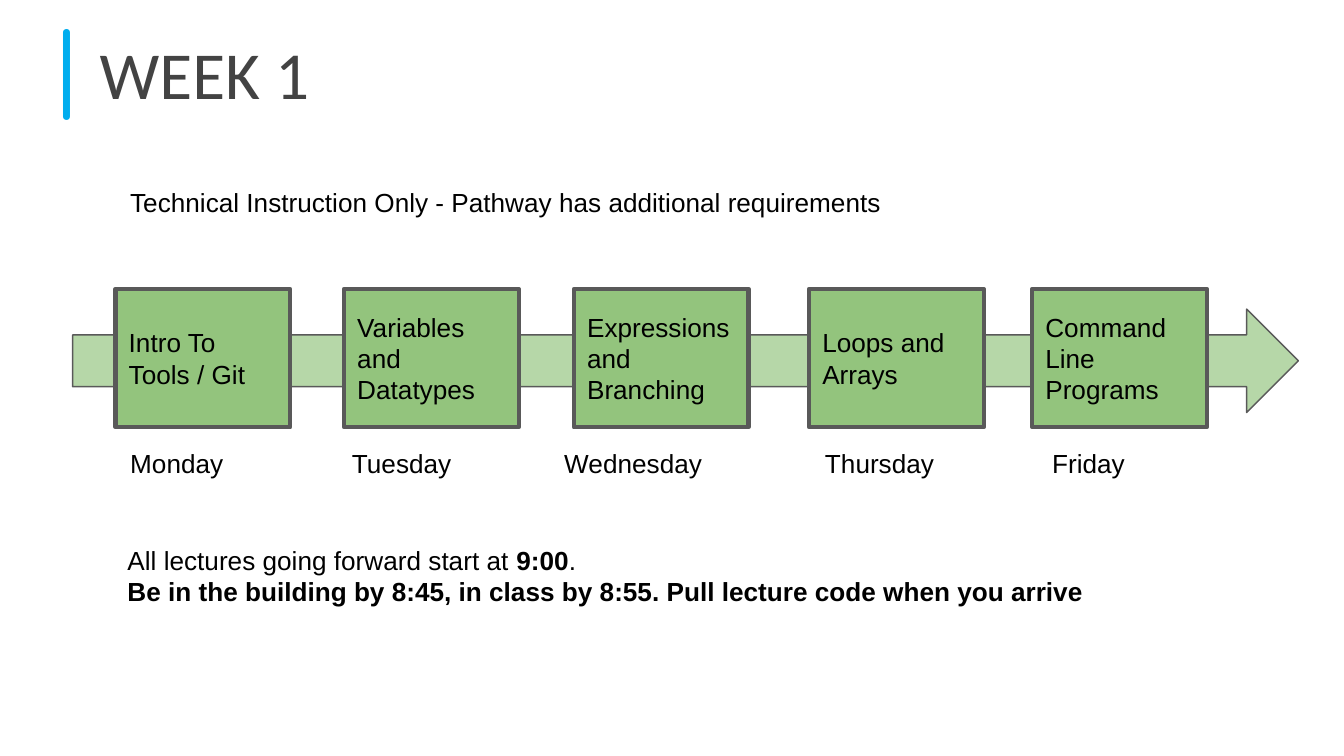
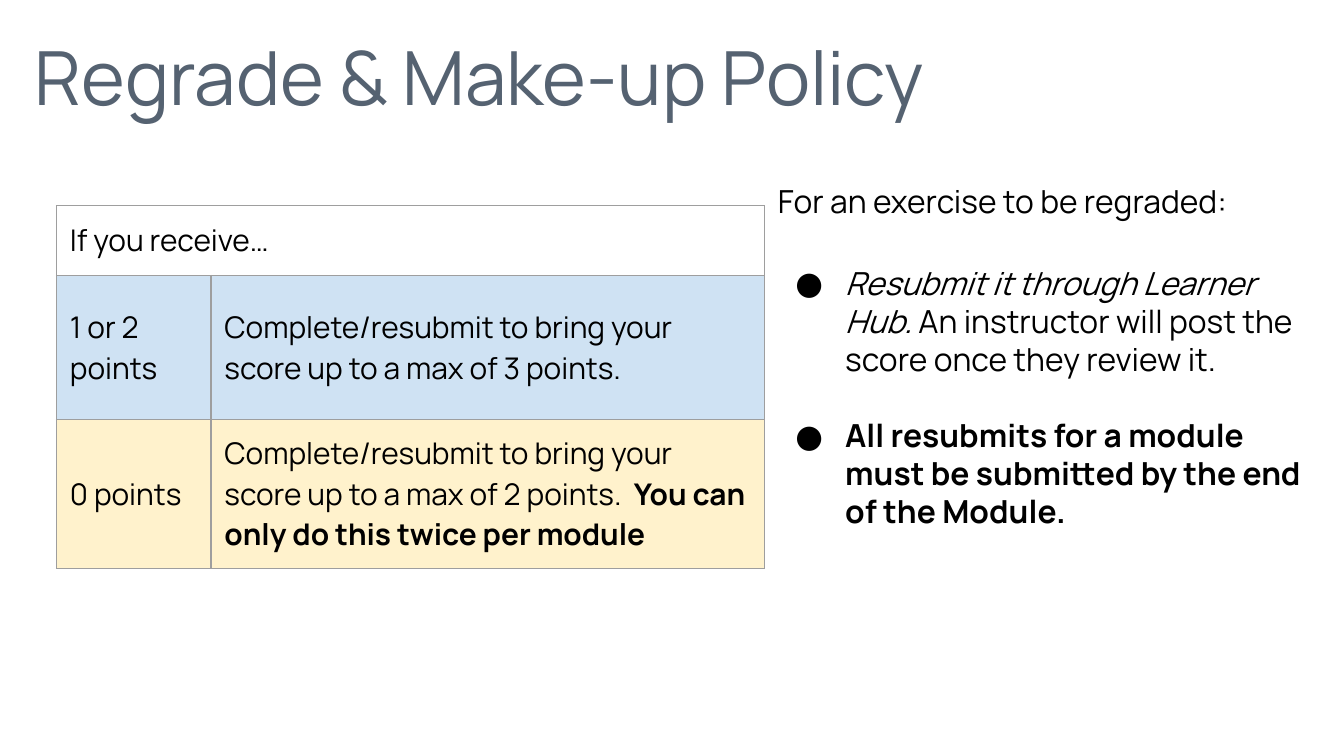
"""Build the week plan and the regrade policy slides."""
from pptx import Presentation
from pptx.dml.color import RGBColor
from pptx.enum.shapes import MSO_SHAPE
from pptx.enum.text import MSO_ANCHOR, PP_ALIGN
from pptx.oxml import parse_xml
from pptx.oxml.ns import nsdecls
from pptx.util import Inches, Pt

BLACK = RGBColor(0x00, 0x00, 0x00)
CYAN = RGBColor(0x00, 0xAD, 0xEE)
DARK = RGBColor(0x43, 0x43, 0x43)
SLATE = RGBColor(0x55, 0x62, 0x71)
EDGE = RGBColor(0x59, 0x59, 0x59)
GRID = RGBColor(0x9E, 0x9E, 0x9E)
GREEN = RGBColor(0x93, 0xC4, 0x7D)
PALE = RGBColor(0xB6, 0xD7, 0xA8)
BLUE = RGBColor(0xCF, 0xE2, 0xF3)
CREAM = RGBColor(0xFF, 0xF2, 0xCC)


def write(frame, lines, font="Arial", size=14, color=BLACK, bullet=False):
    """Fill a frame with lines, each a list of (text, style) runs."""
    frame.word_wrap = True
    for i, runs in enumerate(lines):
        para = frame.add_paragraph() if i else frame.paragraphs[0]
        para.alignment = PP_ALIGN.LEFT
        if bullet and i:
            props = para._p.get_or_add_pPr()
            props.set("marL", str(Inches(0.5)))
            props.set("indent", str(Inches(-0.37)))
            for mark in (f'buClr {nsdecls("a")}><a:srgbClr val="{BLACK}"/></a:buClr',
                         f'buFont {nsdecls("a")} typeface="{font}"/',
                         f'buChar {nsdecls("a")} char="●"/'):
                props.append(parse_xml(f"<a:{mark}>"))
        para.font.name, para.font.size = font, Pt(size)
        para.font.color.rgb = color
        for text, style in runs:
            if text == "\n":
                para.add_line_break()
                continue
            run = para.add_run()
            run.text = text
            if style:
                setattr(run.font, style, True)


def label(slide, spot, lines, font="Arial", size=14, color=BLACK, bullet=False):
    """Add a text box and return its frame."""
    frame = slide.shapes.add_textbox(*map(Inches, spot)).text_frame
    frame.margin_top = frame.margin_bottom = Inches(0.1)
    write(frame, lines, font, size, color, bullet)
    return frame


deck = Presentation()
deck.slide_width = Inches(10)
deck.slide_height = deck.slide_width * 9 // 16
blank = deck.slide_layouts[6]

week = deck.slides.add_slide(blank)
title = label(week, (0.27, 0.07, 9.39, 0.81), [[("|", None), (" WEEK 1", None)]])
title.vertical_anchor = MSO_ANCHOR.MIDDLE
looks = [("Comfortaa", 48, CYAN), ("Calibri", 36, DARK)]
for run, (name, size, color) in zip(title.paragraphs[0].runs, looks):
    run.font.name, run.font.size = name, Pt(size)
    run.font.color.rgb = color

label(week, (0.87, 1.29, 6.63, 0.44),
      [[("Technical Instruction Only - Pathway has additional requirements", None)]])

arrow = week.shapes.add_shape(
    MSO_SHAPE.RIGHT_ARROW, Inches(0.54), Inches(2.3), Inches(9.12), Inches(0.77))
arrow.shadow.inherit = False
arrow.fill.solid()
arrow.fill.fore_color.rgb = PALE
arrow.line.color.rgb, arrow.line.width = EDGE, Pt(0.75)

days = [
    (0.86, "Intro To Tools / Git", 0.87, 0.95, "Monday"),
    (2.56, "Variables and Datatypes", 2.52, 1.34, "Tuesday"),
    (4.27, "Expressions and Branching", 4.1, 1.34, "Wednesday"),
    (6.02, "Loops and Arrays", 6.04, 1.1, "Thursday"),
    (7.68, "Command Line Programs", 7.73, 0.95, "Friday"),
]
for left, topic, start, width, day in days:
    box = week.shapes.add_shape(
        MSO_SHAPE.RECTANGLE, Inches(left), Inches(2.15), Inches(1.3), Inches(1.03))
    box.shadow.inherit = False
    box.fill.solid()
    box.fill.fore_color.rgb = GREEN
    box.line.color.rgb, box.line.width = EDGE, Pt(2.25)
    box.text_frame.vertical_anchor = MSO_ANCHOR.MIDDLE
    write(box.text_frame, [[(topic, None)]])
    label(week, (start, 3.23, width, 0.44), [[(day, None)]])

label(week, (0.85, 3.95, 7.85, 0.67), [[
    ("All lectures going forward start at ", None), ("9:00", "bold"), (". ", None),
    ("\n", None),
    ("Be in the building by 8:45, in class by 8:55. "
     "Pull lecture code when you arrive", "bold"),
]])

rules = deck.slides.add_slide(blank)
rows = [
    (0.52, None, [[("If you receive…", None)], []]),
    (1.07, BLUE, [
        [("1 or 2 points", None)],
        [("Complete/resubmit to bring your score up to a max of 3 points.", None)]]),
    (1.11, CREAM, [
        [("0 points", None)],
        [("Complete/resubmit to bring your score up to a max of 2 points.  ", None),
         ("You can only do this twice per module", "bold")]]),
]
table = rules.shapes.add_table(
    3, 2, Inches(0.42), Inches(1.53), Inches(5.27), Inches(2.7)).table
table.first_row = table.horz_banding = False
table.columns[0].width, table.columns[1].width = Inches(1.15), Inches(4.12)
table.cell(0, 0).merge(table.cell(0, 1))
for r, (height, fill, texts) in enumerate(rows):
    table.rows[r].height = Inches(height)
    for c, runs in enumerate(texts):
        cell = table.cell(r, c)
        cell.vertical_anchor = MSO_ANCHOR.MIDDLE
        cell.margin_left = cell.margin_right = Inches(0.1)
        cell.margin_top = cell.margin_bottom = Inches(0.1)
        for side in "LRTB":
            cell._tc.get_or_add_tcPr().append(parse_xml(
                f'<a:ln{side} {nsdecls("a")} w="{Pt(0.75)}"><a:solidFill>'
                f'<a:srgbClr val="{GRID}"/></a:solidFill></a:ln{side}>'))
        if fill:
            cell.fill.solid()
            cell.fill.fore_color.rgb = fill
        else:
            cell.fill.background()
        if runs:
            write(cell.text_frame, [runs], "Manrope", 16)

label(rules, (0.16, 0.13, 9.49, 0.81), [[("Regrade & Make-up Policy", None)]],
      "Manrope", 40, SLATE)

steps = label(rules, (5.69, 1.1, 4.31, 3.71), [
    [("For an exercise to be regraded:", None)],
    [("Resubmit it through Learner Hub.", "italic"),
     (" An instructor will post the score once they review it.", None)],
    [("All resubmits for a module must be submitted by the end of the Module.", "bold")],
], "Manrope", 17, bullet=True)
steps.margin_top, steps.margin_right = Inches(0.25), Inches(0.2)
for para, gap in zip(steps.paragraphs[1:], (23.5, 20.5)):
    para.space_before = Pt(gap)

deck.save("out.pptx")
